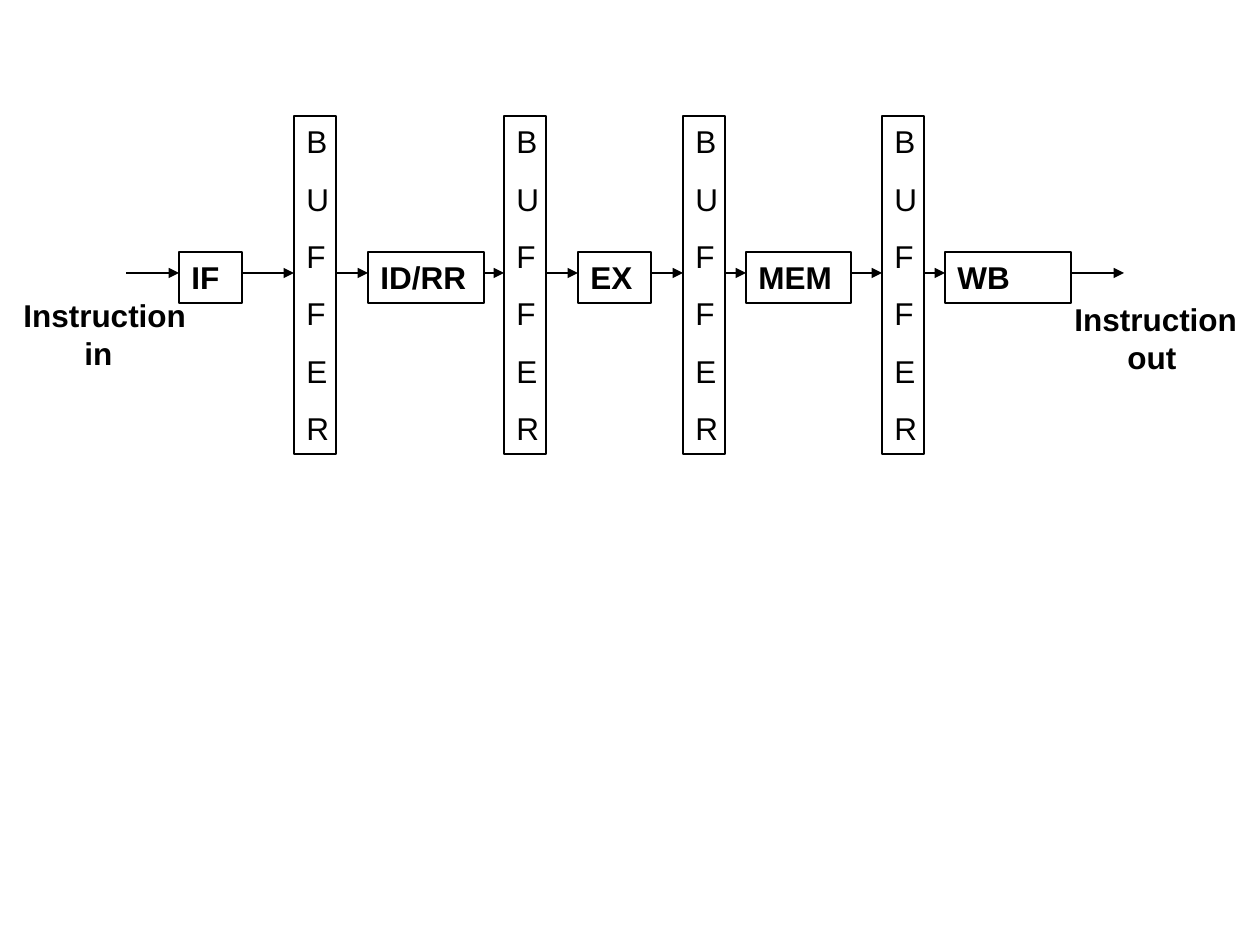
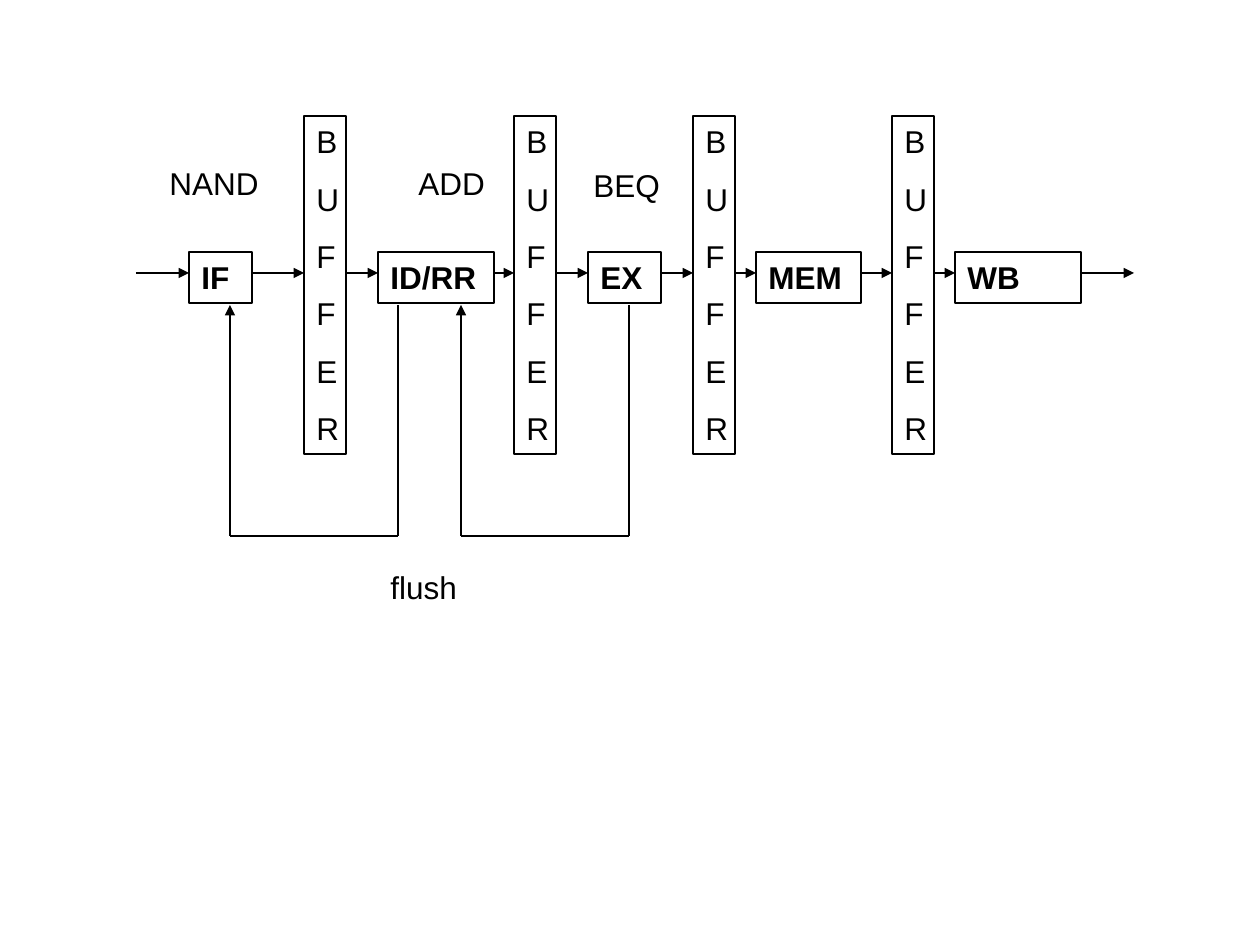
from typing import NamedTuple

from lxml import etree
from pptx import Presentation
from pptx.dml.color import RGBColor
from pptx.enum.shapes import MSO_CONNECTOR, MSO_SHAPE
from pptx.enum.text import MSO_ANCHOR, MSO_AUTO_SIZE, PP_ALIGN
from pptx.oxml.ns import qn
from pptx.slide import Slide
from pptx.text.text import TextFrame
from pptx.util import Pt

RECTANGLE = MSO_SHAPE.RECTANGLE
STRAIGHT = MSO_CONNECTOR.STRAIGHT
LEFT = PP_ALIGN.LEFT
TOP = MSO_ANCHOR.TOP
FIT_TEXT = MSO_AUTO_SIZE.SHAPE_TO_FIT_TEXT

EMU_PER_PX = 914400 / 126
BLACK = RGBColor(0, 0, 0)
BLANK_LAYOUT = 6
LINE_WIDTH = Pt(0.75)
FONT = {"name": "Arial", "size": Pt(18)}
PARAGRAPH = {"alignment": LEFT, "line_spacing": Pt(21.6)}
LETTER_GAP = Pt(11.2)

STAGE_TOP, STAGE_HEIGHT = 252, 51
BUFFER_TOP, BUFFER_WIDTH, BUFFER_HEIGHT = 116, 42, 338
FLOW_Y = 273
END_ARROW = 53
LOOP_TOP, LOOP_BOTTOM = 305, 536


class Stage(NamedTuple):
    name: str
    width: int
    gap_to_buffer: int = 0
    gap_after_buffer: int = 0


class Label(NamedTuple):
    lines: list[str]
    left: int
    top: int
    width: int
    height: int = 51
    bold: bool = False
    last_line_indent: int = 0


class Loop(NamedTuple):
    """A path that leaves one stage from below and enters an earlier one."""
    start_x: int
    end_x: int


STAGES = [
    Stage("IF", 63, 52, 32),
    Stage("ID/RR", 116, 20, 32),
    Stage("EX", 73, 32, 21),
    Stage("MEM", 105, 31, 21),
    Stage("WB", 126),
]

INSTRUCTION_LABELS = [
    Label(["Instruction", "in"], 11, 290, 188, 88, True, 61),
    Label(["Instruction", "out"], 1062, 294, 188, 88, True, 53),
]
HAZARD_LABELS = [
    Label(["NAND"], 157, 158, 126),
    Label(["ADD"], 406, 158, 92),
    Label(["BEQ"], 581, 160, 92),
    Label(["flush"], 378, 562, 92),
]
FLUSH_LOOPS = [Loop(629, 461), Loop(398, 230)]


def px(length: int) -> int:
    return round(length * EMU_PER_PX)


def apply(target: object, values: dict) -> None:
    for attribute, value in values.items():
        setattr(target, attribute, value)


def write(frame: TextFrame, lines: list[str], bold: bool) -> None:
    frame.vertical_anchor = TOP
    frame.text = "\n".join(lines)
    for paragraph in frame.paragraphs:
        apply(paragraph, PARAGRAPH)
        apply(paragraph.font, FONT | {"bold": bold})
        paragraph.font.color.rgb = BLACK


def add_box(slide: Slide, left: int, top: int, width: int, height: int,
            lines: list[str], bold: bool) -> None:
    box = slide.shapes.add_shape(RECTANGLE, px(left), px(top), px(width), px(height))
    box.shadow.inherit = False
    box.fill.background()
    box.line.color.rgb = BLACK
    box.line.width = LINE_WIDTH
    box.text_frame.word_wrap = True
    write(box.text_frame, lines, bold)
    for paragraph in box.text_frame.paragraphs[1:]:
        paragraph.space_before = LETTER_GAP


def add_line(slide: Slide, x1: int, y1: int, x2: int, y2: int, arrow: bool = True) -> None:
    line = slide.shapes.add_connector(STRAIGHT, px(x1), px(y1), px(x2), px(y2))
    line.line.color.rgb = BLACK
    line.line.width = LINE_WIDTH
    if arrow:
        etree.SubElement(line.line._get_or_add_ln(), qn("a:tailEnd"), type="triangle")
    etree.SubElement(line._element.spPr, qn("a:effectLst"))


def add_label(slide: Slide, label: Label) -> None:
    box = slide.shapes.add_textbox(px(label.left), px(label.top), px(label.width), px(label.height))
    frame = box.text_frame
    write(frame, label.lines, label.bold)
    frame.word_wrap = False
    frame.auto_size = FIT_TEXT
    if label.last_line_indent:
        properties = frame.paragraphs[-1]._p.get_or_add_pPr()
        properties.set("marL", str(px(label.last_line_indent)))


def add_loop(slide: Slide, loop: Loop) -> None:
    add_line(slide, loop.start_x, LOOP_TOP, loop.start_x, LOOP_BOTTOM, arrow=False)
    add_line(slide, loop.start_x, LOOP_BOTTOM, loop.end_x, LOOP_BOTTOM, arrow=False)
    add_line(slide, loop.end_x, LOOP_BOTTOM, loop.end_x, LOOP_TOP)


def add_pipeline(slide: Slide, left: int) -> None:
    """Chain stages, buffers and arrows rightwards from the incoming arrow."""
    def flow(x: int, length: int) -> int:
        add_line(slide, x, FLOW_Y, x + length, FLOW_Y)
        return x + length

    x = flow(left, END_ARROW)
    for stage in STAGES:
        add_box(slide, x, STAGE_TOP, stage.width, STAGE_HEIGHT, [stage.name], True)
        x += stage.width
        if stage.gap_to_buffer:
            x = flow(x, stage.gap_to_buffer)
            add_box(slide, x, BUFFER_TOP, BUFFER_WIDTH, BUFFER_HEIGHT, list("BUFFER"), False)
            x = flow(x + BUFFER_WIDTH, stage.gap_after_buffer)
    flow(x, END_ARROW)


def add_pipeline_slide(deck: Presentation, left: int, labels: list[Label],
                       loops: list[Loop]) -> None:
    slide = deck.slides.add_slide(deck.slide_layouts[BLANK_LAYOUT])
    add_pipeline(slide, left)
    for loop in loops:
        add_loop(slide, loop)
    for label in labels:
        add_label(slide, label)


def main() -> None:
    deck = Presentation()
    deck.slide_width, deck.slide_height = px(1260), px(945)
    add_pipeline_slide(deck, 126, INSTRUCTION_LABELS, [])
    add_pipeline_slide(deck, 136, HAZARD_LABELS, FLUSH_LOOPS)
    deck.save("out.pptx")


if __name__ == "__main__":
    main()
